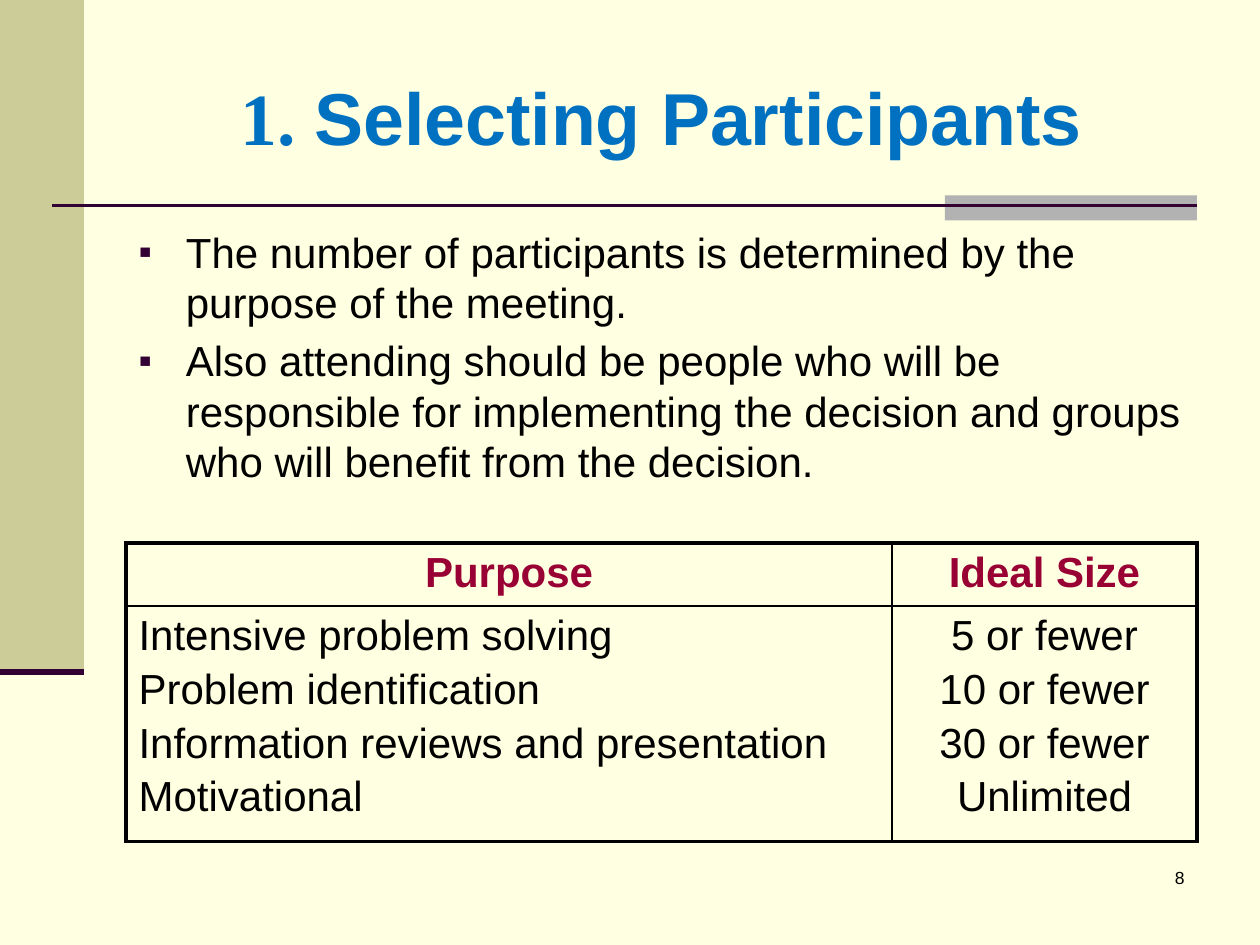
"""Build the slide on selecting meeting participants."""
from dataclasses import dataclass
from typing import Optional

from lxml.etree import SubElement
from pptx import Presentation
from pptx.dml.color import RGBColor
from pptx.enum.shapes import MSO_CONNECTOR, MSO_SHAPE
from pptx.enum.text import MSO_ANCHOR, MSO_AUTO_SIZE, PP_ALIGN
from pptx.oxml.ns import qn
from pptx.util import Pt


@dataclass(frozen=True)
class Theme:
    background: str = "FFFFE1"
    band: str = "CCCC99"
    accent: str = "B2B2B2"
    rule: str = "330033"
    title: str = "0070C0"
    heading: str = "990033"
    text: str = "000000"
    font: str = "Arial"
    number_font: str = "Times New Roman"
    title_size: float = 42
    body_size: float = 24
    number_size: float = 10
    outer_border: float = 2.25
    inner_border: float = 1


@dataclass(frozen=True)
class Block:
    left: float
    top: float
    width: float
    height: float
    color: str = ""


@dataclass(frozen=True)
class Rule:
    left: float
    right: float
    top: float
    weight: float


@dataclass(frozen=True)
class Column:
    heading: str
    entries: tuple[str, ...]
    width: float
    align: PP_ALIGN


THEME = Theme()
BLOCKS = (
    Block(0, 0, 48, 384, THEME.band),
    Block(540, 111.6, 144, 14.4, THEME.accent),
)
RULES = (Rule(30, 684, 117.6, 1.5), Rule(0, 48, 384, 3.5))
TITLE_AREA = Block(72, 21.6, 612, 90)
BODY_AREA = Block(72, 126, 612, 172)
TABLE_AREA = Block(72, 310.3, 612, 163)
NUMBER_AREA = Block(534, 492, 150, 36)
HEADER_HEIGHT = 34
BULLETS = (
    "The number of participants is determined by the purpose of the meeting.",
    "Also attending should be people who will be responsible for implementing "
    "the decision and groups who will benefit from the decision.",
)
COLUMNS = (
    Column("Purpose", ("Intensive problem solving", "Problem identification",
                       "Information reviews and presentation", "Motivational"),
           437.8, PP_ALIGN.LEFT),
    Column("Ideal Size", ("5 or fewer", "10 or fewer", "30 or fewer", "Unlimited"),
           174.2, PP_ALIGN.CENTER),
)


def bounds(area: Block) -> tuple[Pt, Pt, Pt, Pt]:
    return Pt(area.left), Pt(area.top), Pt(area.width), Pt(area.height)


def place(shape, area: Block) -> None:
    shape.left, shape.top, shape.width, shape.height = bounds(area)


def style_font(font, size: float, color: str, name: str = THEME.font,
               bold: Optional[bool] = False) -> None:
    font.size, font.name, font.bold = Pt(size), name, bold
    font.color.rgb = RGBColor.from_string(color)


def draw_block(slide, block: Block) -> None:
    shape = slide.shapes.add_shape(MSO_SHAPE.RECTANGLE, *bounds(block))
    shape.shadow.inherit = False
    shape.fill.solid()
    shape.fill.fore_color.rgb = RGBColor.from_string(block.color)
    shape.line.fill.background()


def draw_rule(slide, rule: Rule) -> None:
    connector = slide.shapes.add_connector(
        MSO_CONNECTOR.STRAIGHT, Pt(rule.left), Pt(rule.top), Pt(rule.right), Pt(rule.top))
    connector.line.color.rgb = RGBColor.from_string(THEME.rule)
    connector.line.width = Pt(rule.weight)
    SubElement(connector._element.spPr, qn("a:effectLst"))


def write_paragraphs(frame, texts: tuple[str, ...], color: str, align: PP_ALIGN,
                     gap: float, bold: bool = False, bulleted: bool = False) -> None:
    for index, text in enumerate(texts):
        paragraph = frame.add_paragraph() if index else frame.paragraphs[0]
        paragraph.text = text
        paragraph.alignment = align
        paragraph.space_before = Pt(gap if index else 0)
        if bulleted:
            paragraph.line_spacing = Pt(28.6)
            add_bullet(paragraph)
        style_font(paragraph.font, THEME.body_size, color, bold=bold)


def add_bullet(paragraph) -> None:
    properties = paragraph._p.get_or_add_pPr()
    properties.set("marL", str(Pt(27)))
    properties.set("indent", str(-Pt(27)))
    color = SubElement(properties, qn("a:buClr"))
    SubElement(color, qn("a:srgbClr"), val=THEME.rule)
    SubElement(properties, qn("a:buSzPct"), val="90000")
    SubElement(properties, qn("a:buFont"), typeface=THEME.font)
    SubElement(properties, qn("a:buChar"), char="▪")


def set_borders(cell, outer_sides: str) -> None:
    properties = cell._tc.get_or_add_tcPr()
    for position, side in enumerate("LRTB"):
        weight = THEME.outer_border if side in outer_sides else THEME.inner_border
        line = properties.makeelement(qn(f"a:ln{side}"), {"w": str(Pt(weight))})
        fill = SubElement(line, qn("a:solidFill"))
        SubElement(fill, qn("a:srgbClr"), val=THEME.text)
        properties.insert(position, line)


def draw_table(slide) -> None:
    table = slide.shapes.add_table(2, len(COLUMNS), *bounds(TABLE_AREA)).table
    table.rows[0].height = Pt(HEADER_HEIGHT)
    table.rows[1].height = Pt(TABLE_AREA.height - HEADER_HEIGHT)
    for index, (column, side) in enumerate(zip(COLUMNS, "LR")):
        table.columns[index].width = Pt(column.width)
        header, body = table.cell(0, index), table.cell(1, index)
        write_paragraphs(header.text_frame, (column.heading,), THEME.heading,
                         PP_ALIGN.CENTER, 0, bold=True)
        write_paragraphs(body.text_frame, column.entries, THEME.text, column.align, 4)
        for cell, edge in ((header, "T"), (body, "B")):
            cell.fill.background()
            set_borders(cell, side + edge)


def write_title(slide) -> None:
    title = slide.shapes.title
    place(title, TITLE_AREA)
    frame = title.text_frame
    frame.auto_size = MSO_AUTO_SIZE.NONE
    frame.vertical_anchor = MSO_ANCHOR.MIDDLE
    paragraph = frame.paragraphs[0]
    paragraph.alignment = PP_ALIGN.CENTER
    for text, name in (("1. ", THEME.number_font), ("Selecting Participants", THEME.font)):
        run = paragraph.add_run()
        run.text = text
        style_font(run.font, THEME.title_size, THEME.title, name, bold=True)


def write_body(slide) -> None:
    body = slide.placeholders[1]
    place(body, BODY_AREA)
    body.text_frame.auto_size = MSO_AUTO_SIZE.NONE
    write_paragraphs(body.text_frame, BULLETS, THEME.text, PP_ALIGN.LEFT, 4.8, bulleted=True)


def write_number(slide) -> None:
    frame = slide.shapes.add_textbox(*bounds(NUMBER_AREA)).text_frame
    frame.word_wrap = True
    paragraph = frame.paragraphs[0]
    paragraph.text = "8"
    paragraph.alignment = PP_ALIGN.RIGHT
    style_font(paragraph.font, THEME.number_size, THEME.text)


presentation = Presentation()
presentation.slide_width, presentation.slide_height = Pt(720), Pt(540)
slide = presentation.slides.add_slide(presentation.slide_layouts[1])
slide.background.fill.solid()
slide.background.fill.fore_color.rgb = RGBColor.from_string(THEME.background)
for block in BLOCKS:
    draw_block(slide, block)
for rule in RULES:
    draw_rule(slide, rule)
write_number(slide)
write_title(slide)
write_body(slide)
draw_table(slide)
presentation.save("out.pptx")
